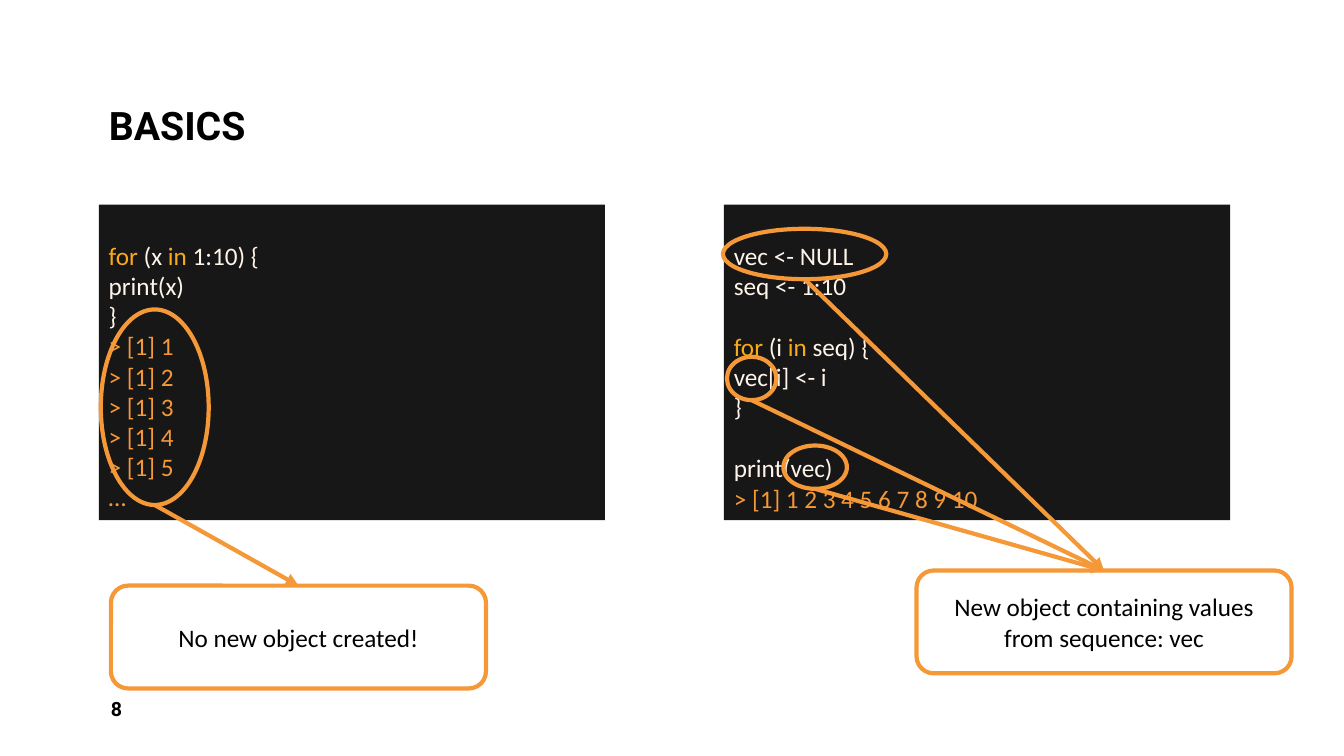
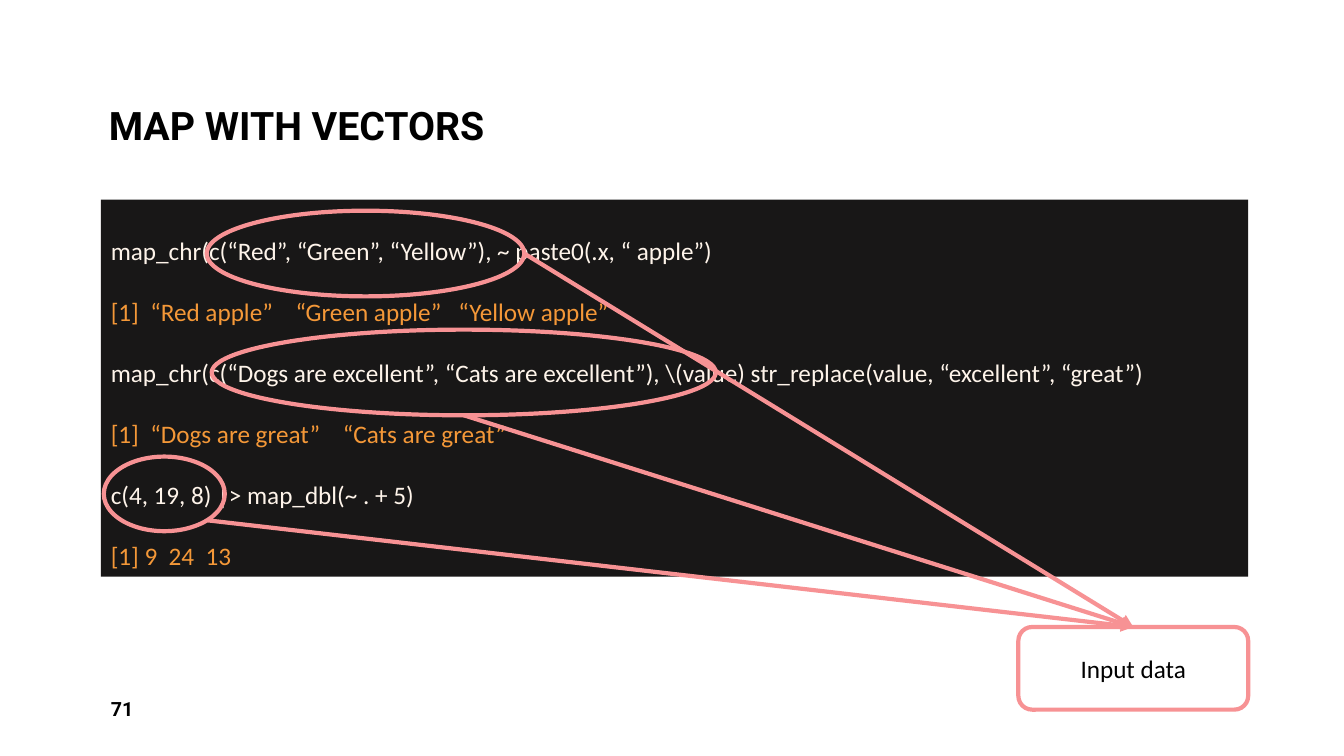
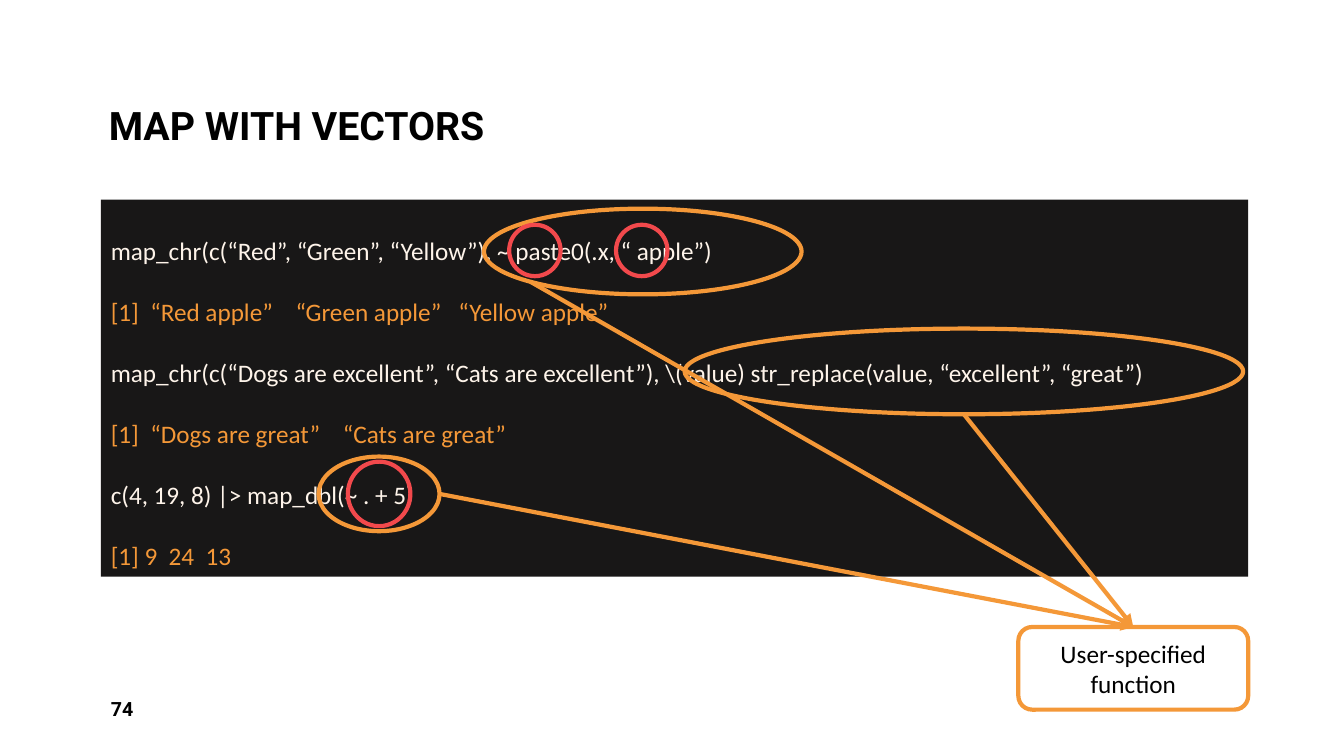
from dataclasses import dataclass
from math import cos, radians, sin

from lxml.etree import SubElement
from pptx import Presentation
from pptx.dml.color import RGBColor
from pptx.enum.shapes import MSO_CONNECTOR, MSO_SHAPE
from pptx.enum.text import MSO_ANCHOR, MSO_AUTO_SIZE, PP_ALIGN
from pptx.oxml.ns import qn
from pptx.util import Inches, Pt


@dataclass(frozen=True)
class Theme:
    """Colours, fonts and type sizes shared by the slides."""

    ink: str = "000000"
    panel: str = "181717"
    code: str = "FEF4EA"
    keyword: str = "F9AA19"
    orange: str = "F49838"
    pink: str = "F79294"
    red: str = "F2494C"
    heading_font: str = "Roboto"
    body_font: str = "Calibri"
    title_size: int = 28
    body_size: int = 18
    number_size: int = 14
    outline: int = 3
    code_line: int = 22


@dataclass(frozen=True)
class Line:
    """One line of code as (text, colour) runs, with an optional gap above."""

    runs: tuple
    gap: bool = False


THEME = Theme()
TITLE_BOX = (0.98, 0.08, 11.38, 1.45)
NUMBER_BOX = (1, 6.83, 2.92, 0.4)
VECTOR_PANEL = (1, 1.98, 11.38, 3.74)
VECTOR_CALLOUT = (10.1, 6.22, 2.28, 0.82)
ANGLES = {"right": 0, "lower right": 45, "bottom": 90, "lower left": 135}


def apply(target, values):
    """Set each attribute of the target from a dict."""
    for name, value in values.items():
        setattr(target, name, value)


def inches(values):
    """Turn plain numbers into lengths."""
    return [Inches(value) for value in values]


def add_run(paragraph, text, colour, size, font=THEME.body_font, bold=False):
    """Add a formatted run to a paragraph."""
    run = paragraph.add_run()
    run.text = text
    apply(run.font, {"name": font, "size": Pt(size), "bold": bold})
    run.font.color.rgb = RGBColor.from_string(colour)


def add_outline(slide, kind, box, colour):
    """Add an unfilled preset shape with a heavy outline."""
    shape = slide.shapes.add_shape(kind, *inches(box))
    shape.shadow.inherit = False
    shape.fill.background()
    shape.line.color.rgb = RGBColor.from_string(colour)
    shape.line.width = Pt(THEME.outline)
    return shape


def add_code(slide, box, lines):
    """Add a dark panel holding lines of code."""
    panel = slide.shapes.add_shape(MSO_SHAPE.RECTANGLE, *inches(box))
    panel.shadow.inherit = False
    panel.fill.solid()
    panel.fill.fore_color.rgb = RGBColor.from_string(THEME.panel)
    panel.line.fill.background()
    frame = panel.text_frame
    apply(frame, {"word_wrap": True, "vertical_anchor": MSO_ANCHOR.TOP,
                  "margin_top": Inches(0.35)})
    for index, line in enumerate(lines):
        paragraph = frame.add_paragraph() if index else frame.paragraphs[0]
        apply(paragraph, {"alignment": PP_ALIGN.LEFT,
                          "space_before": Pt(THEME.code_line if line.gap else 0)})
        for text, colour in line.runs:
            add_run(paragraph, text, colour, THEME.body_size)


def add_callout(slide, box, text, colour):
    """Add a rounded box with a centred remark."""
    callout = add_outline(slide, MSO_SHAPE.ROUNDED_RECTANGLE, box, colour)
    frame = callout.text_frame
    apply(frame, {"word_wrap": True, "vertical_anchor": MSO_ANCHOR.MIDDLE})
    remark = frame.paragraphs[0]
    remark.alignment = PP_ALIGN.CENTER
    add_run(remark, text, THEME.ink, THEME.body_size)
    return callout


def add_arrow(slide, box, side, callout, colour):
    """Draw an arrow from a side of a ring to the top of a callout."""
    left, top, width, height = box
    angle = radians(ANGLES[side])
    start = inches((left + width / 2 * (1 + cos(angle)),
                    top + height / 2 * (1 + sin(angle))))
    arrow = slide.shapes.add_connector(MSO_CONNECTOR.STRAIGHT, *start, *start)
    arrow.end_connect(callout, 0)
    arrow.line.color.rgb = RGBColor.from_string(colour)
    arrow.line.width = Pt(THEME.outline)
    SubElement(arrow.line._get_or_add_ln(), qn("a:tailEnd"), type="triangle")
    SubElement(arrow._element.spPr, qn("a:effectLst"))


def add_note(slide, box, text, colour, rings):
    """Add a callout and the ringed code that points to it."""
    callout = add_callout(slide, box, text, colour)
    for ring, side in rings:
        add_outline(slide, MSO_SHAPE.OVAL, ring, colour)
        add_arrow(slide, ring, side, callout, colour)


def add_slide(deck, heading, number):
    """Add a slide with its title and slide number."""
    slide = deck.slides.add_slide(deck.slide_layouts[5])
    title = slide.shapes.title
    apply(title, dict(zip(("left", "top", "width", "height"), inches(TITLE_BOX))))
    page = slide.shapes.add_textbox(*inches(NUMBER_BOX))
    for shape, text, size, anchor, spacing in (
        (title, heading, THEME.title_size, MSO_ANCHOR.BOTTOM, 0.9),
        (page, number, THEME.number_size, MSO_ANCHOR.MIDDLE, 1.0),
    ):
        apply(shape.text_frame, {"word_wrap": True, "vertical_anchor": anchor,
                                 "auto_size": MSO_AUTO_SIZE.NONE})
        paragraph = shape.text_frame.paragraphs[0]
        apply(paragraph, {"alignment": PP_ALIGN.LEFT, "line_spacing": spacing})
        add_run(paragraph, text, THEME.ink, size, THEME.heading_font, True)
    return slide


def code(text, gap=False):
    """Make a line of input."""
    return Line(((text, THEME.code),), gap)


def output(text, gap=False):
    """Make a line of printed result."""
    return Line(((text, THEME.orange),), gap)


def loop(variable, values, gap=False):
    """Make the opening line of a for loop."""
    return Line((("for", THEME.keyword), (f" ({variable} ", THEME.code),
                 ("in", THEME.keyword), (f" {values}) {{", THEME.code)), gap)


def add_basics(deck):
    """Compare a printing loop with one that fills a vector."""
    slide = add_slide(deck, "BASICS", "8")
    printed = [output(f"> [1] {value}") for value in range(1, 6)]
    add_code(slide, (0.98, 2.03, 5.02, 3.13), [
        loop("x", "1:10"), code("print(x)"), code("}"), *printed, output("…"),
    ])
    add_code(slide, (7.18, 2.03, 5.02, 3.13), [
        code("vec <- NULL"), code("seq <- 1:10"),
        loop("i", "seq", gap=True), code("vec[i] <- i"), code("}"),
        code("print(vec)", gap=True), output("> [1] 1 2 3 4 5 6 7 8 9 10"),
    ])
    add_note(slide, (1.1, 5.81, 3.72, 1.02), "No new object created!", THEME.orange,
             [((1, 3.07, 1.07, 1.94), "bottom")])
    add_note(slide, (9.09, 5.66, 3.72, 1.02),
             "New object containing values from sequence: vec", THEME.orange,
             [((7.17, 2.27, 1.62, 0.5), "bottom"),
              ((7.77, 4.42, 0.63, 0.43), "bottom"),
              ((7.21, 3.54, 0.49, 0.43), "bottom")])


def add_vectors(deck, number, remark, colour, rings):
    """Show the map examples with one aspect ringed."""
    slide = add_slide(deck, "MAP WITH VECTORS", number)
    add_code(slide, VECTOR_PANEL, [
        code("map_chr(c(“Red”, “Green”, “Yellow”), ~ paste0(.x, “ apple”)"),
        output("[1]  “Red apple”    “Green apple”   “Yellow apple”", gap=True),
        code(r"map_chr(c(“Dogs are excellent”, “Cats are excellent”), "
             r"\(value) str_replace(value, “excellent”, “great”)", gap=True),
        output("[1]  “Dogs are great”    “Cats are great”", gap=True),
        code("c(4, 19, 8) |> map_dbl(~ . + 5)", gap=True),
        output("[1] 9  24  13", gap=True),
    ])
    add_note(slide, VECTOR_CALLOUT, remark, colour, rings)
    return slide


def main():
    """Build the deck and save it."""
    deck = Presentation()
    apply(deck, {"slide_width": Inches(13.33), "slide_height": Inches(7.5)})
    add_basics(deck)
    add_vectors(deck, "71", "Input data", THEME.pink, [
        ((2.05, 2.09, 3.15, 0.85), "right"),
        ((2.1, 3.27, 5, 0.85), "bottom"),
        ((1.03, 4.53, 1.2, 0.74), "lower right"),
    ])
    functions = add_vectors(deck, "74", "User-specified function", THEME.orange, [
        ((4.8, 2.07, 3.15, 0.85), "lower left"),
        ((6.79, 3.26, 5.54, 0.85), "bottom"),
        ((3.16, 4.53, 1.2, 0.74), "right"),
    ])
    for detail in ((5.05, 2.23, 0.51, 0.51), (3.45, 4.58, 0.62, 0.64),
                   (6.11, 2.23, 0.51, 0.51)):
        add_outline(functions, MSO_SHAPE.OVAL, detail, THEME.red)
    deck.save("out.pptx")


if __name__ == "__main__":
    main()
